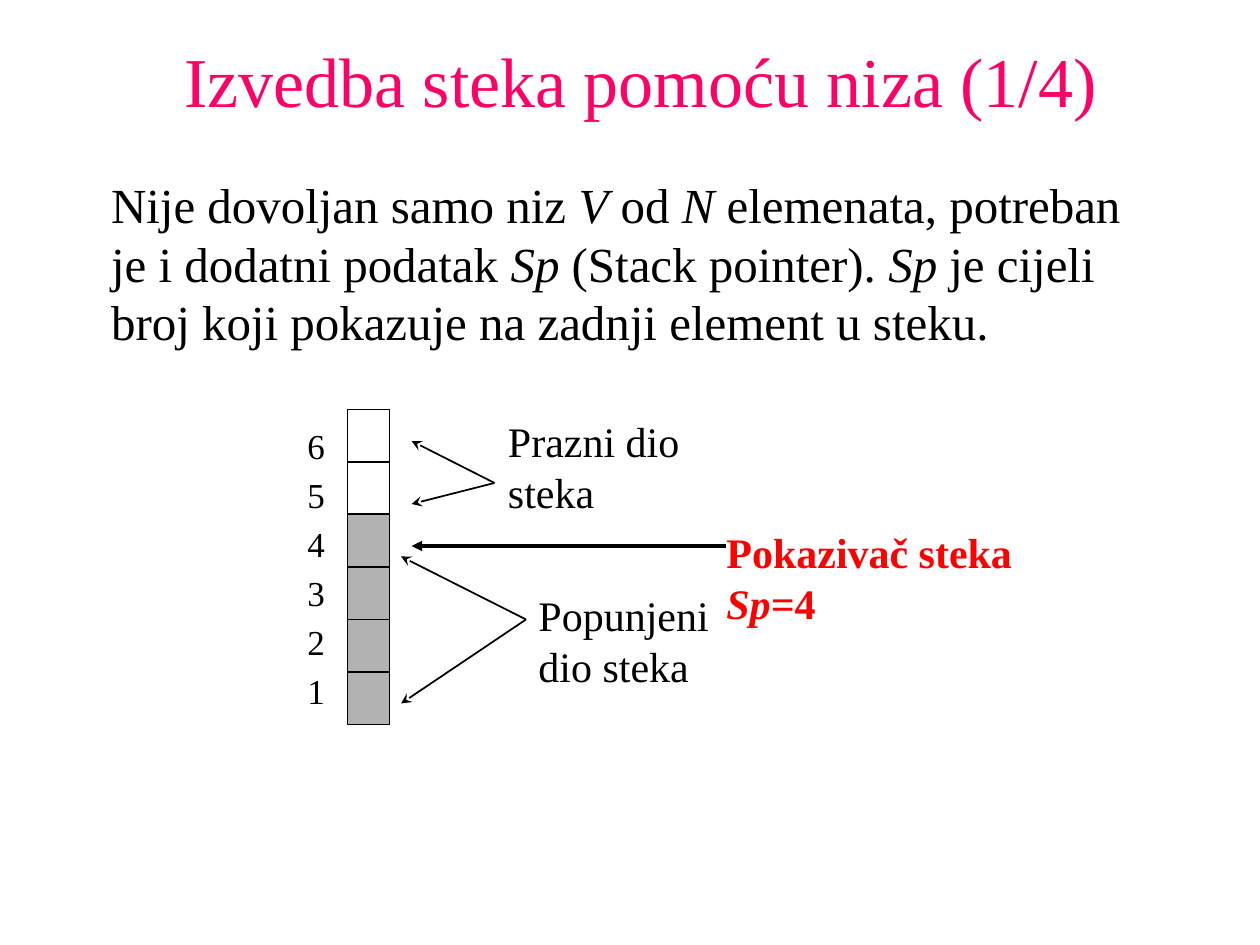
from lxml.etree import SubElement
from pptx import Presentation
from pptx.dml.color import RGBColor
from pptx.enum.shapes import MSO_CONNECTOR, MSO_SHAPE
from pptx.enum.text import PP_ALIGN
from pptx.oxml.ns import qn
from pptx.util import Inches, Pt

COLORS = {
    "title": "FF0066",
    "text": "000000",
    "pointer": "FF0000",
    "full": "B2B2B2",
    "empty": "FFFFFF",
}
RGB = {name: RGBColor.from_string(value) for name, value in COLORS.items()}

prs = Presentation()
prs.slide_width, prs.slide_height = Inches(10), Inches(7.5)
s = prs.slides.add_slide(prs.slide_layouts[6])
U = prs.slide_width // 120  # square grid of 120 columns by 90 rows


def add_text(box, lines, size, color="text", bold=False, wrap=False,
             align=PP_ALIGN.LEFT, spacing=None):
    """Write one paragraph per line; parts between asterisks are italic."""
    tf = s.shapes.add_textbox(*(int(v * U) for v in box)).text_frame
    tf.word_wrap = wrap
    for i, line in enumerate(lines):
        p = tf.paragraphs[0] if i == 0 else tf.add_paragraph()
        p.alignment = align
        p.line_spacing = spacing
        p.font.name, p.font.size, p.font.bold = "Times New Roman", Pt(size), bold
        p.font.color.rgb = RGB[color]
        for j, part in enumerate(line.split("*")):
            if part:
                r = p.add_run()
                r.text = part
                r.font.italic = j % 2 == 1


def add_arrow(start, end, width, head):
    c = s.shapes.add_connector(MSO_CONNECTOR.STRAIGHT,
                               *(int(v * U) for v in start + end))
    c.line.color.rgb = RGB["text"]
    c.line.width = Pt(width)
    SubElement(c.line._get_or_add_ln(), qn("a:tailEnd"), type=head)
    SubElement(c._element.spPr, qn("a:effectLst"))


# Title and explanation
add_text((5, 3, 112, 9.2), ["Izvedba steka pomoću niza (1/4)"], 40, "title",
         wrap=True, align=PP_ALIGN.CENTER)
add_text((9.4, 16, 101.3, 18),
         ["Nije dovoljan samo niz *V* od *N* elemenata, potreban je i dodatni "
          "podatak *Sp* (Stack pointer). *Sp* je cijeli broj koji pokazuje "
          "na zadnji element u steku."], 28, wrap=True)

# Stack cells, top to bottom
for row, state in enumerate(["empty"] * 2 + ["full"] * 4):
    cell = s.shapes.add_shape(MSO_SHAPE.RECTANGLE, int(33.1 * U),
                              (39 + 5 * row) * U, 4 * U, 5 * U)
    cell.shadow.inherit = False
    cell.fill.solid()
    cell.fill.fore_color.rgb = RGB[state]
    cell.line.color.rgb = RGB["text"]
    cell.line.width = Pt(1)

# Arrows to the filled part, the empty part and the top of the stack
for start, end in [((50.1, 59), (38.2, 53)), ((50.1, 59), (38.2, 67)),
                   ((47.1, 46), (39.2, 42)), ((47.1, 46), (39.2, 48))]:
    add_arrow(start, end, 1, "stealth")
add_arrow((69.1, 52), (39.2, 52), 2, "triangle")

# Labels
add_text((50.1, 55.6, 18.6, 10.8), ["Popunjeni", "dio steka"], 24)
add_text((47.2, 39, 18.7, 10.8), ["Prazni dio", "steka"], 24)
add_text((68, 49.6, 29.6, 15.6), ["Pokazivač steka", "*Sp=*4"], 24, "pointer",
         bold=True)
add_text((28.1, 39.2, 4.1, 33.8), [str(n) for n in range(6, 0, -1)], 20,
         spacing=Pt(28))

prs.save("out.pptx")
